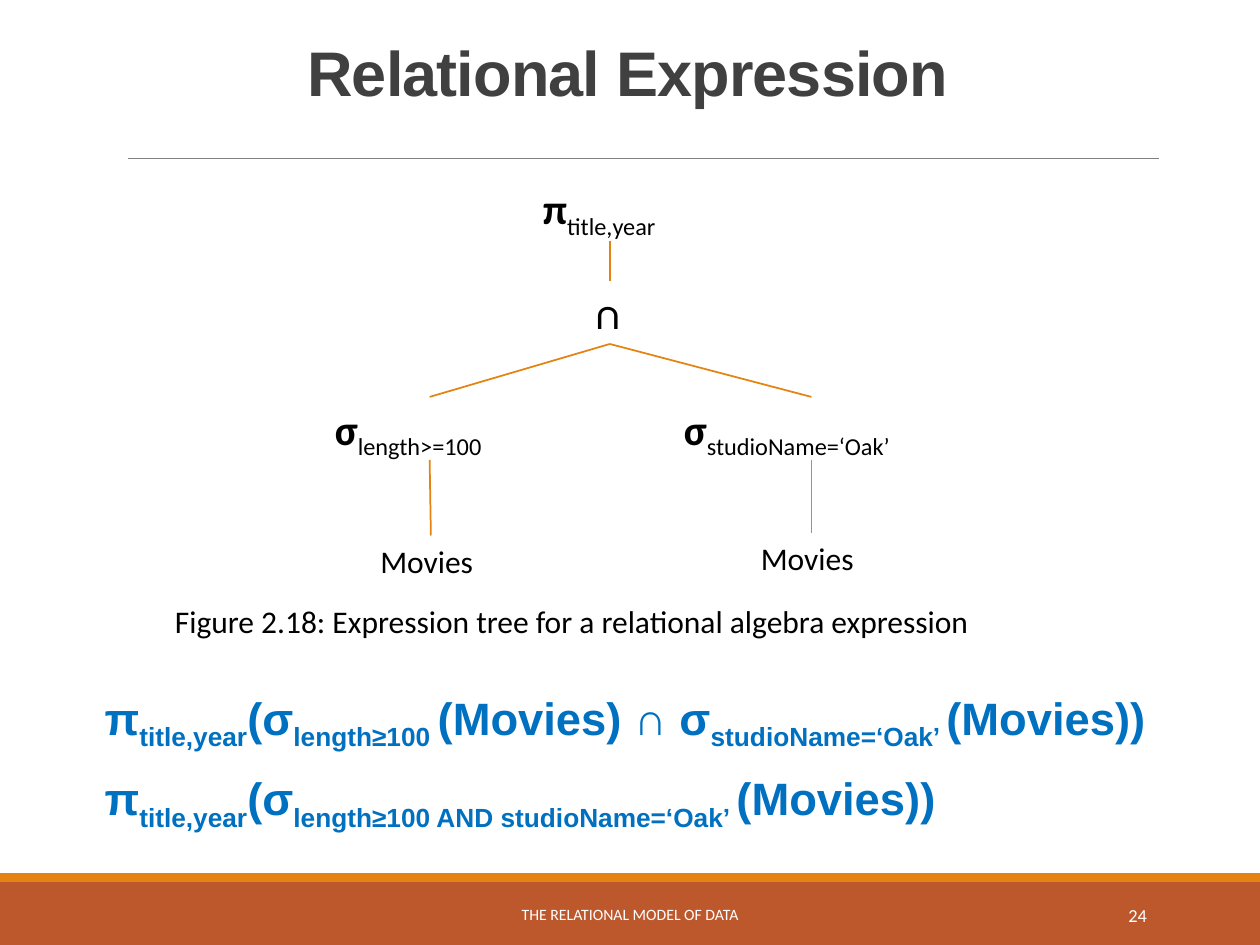
"""Build a slide showing an expression tree for a relational algebra query."""
from dataclasses import dataclass

from lxml.etree import SubElement
from pptx import Presentation
from pptx.dml.color import RGBColor
from pptx.enum.shapes import MSO_CONNECTOR, MSO_SHAPE
from pptx.enum.text import MSO_ANCHOR, MSO_AUTO_SIZE, PP_ALIGN
from pptx.oxml.ns import qn
from pptx.slide import Slide
from pptx.text.text import TextFrame
from pptx.util import Inches, Pt

COLORS = {
    "brick": "BD582C",
    "orange": "E48312",
    "gray": "808080",
    "heading": "404040",
    "formula": "0070C0",
    "black": "000000",
    "white": "FFFFFF",
}


@dataclass
class Band:
    top: float
    height: float
    color: str


@dataclass
class Label:
    """Text whose runs alternate between the baseline and subscript."""
    runs: tuple[str, ...]
    left: float
    top: float
    width: float
    height: float = 0.5
    size: float = 24
    bold: bool = True
    color: str = "black"
    align: PP_ALIGN = PP_ALIGN.LEFT
    anchor: MSO_ANCHOR = MSO_ANCHOR.TOP
    wrap: bool = False


@dataclass
class Line:
    start: tuple[float, float]
    end: tuple[float, float]
    color: str = "orange"
    width: float = 1


BANDS = [Band(7, 0.5, "brick"), Band(6.93, 0.07, "orange")]

ROOT, LEFT, RIGHT = 4.84, 3.41, 6.44
LINES = [
    Line((1.02, 1.26), (9.2, 1.26), "gray", 0.5),
    Line((ROOT, 1.91), (ROOT, 2.23)),
    Line((ROOT, 2.73), (LEFT, 3.15)),
    Line((ROOT, 2.73), (RIGHT, 3.15)),
    Line((LEFT, 3.65), (3.42, 4.25)),
    Line((RIGHT, 3.65), (RIGHT, 4.23)),
]

PLAIN = {"height": 0.4, "size": 18, "bold": False}
FOOTER = {"top": 7.06, "height": 0.4, "bold": False, "color": "white",
          "anchor": MSO_ANCHOR.MIDDLE, "wrap": True}
LABELS = [
    Label(("π", "title,year"), 4.21, 1.4, 1.27),
    Label(("∩",), 4.61, 2.23, 0.46),
    Label(("σ", "length>=100"), 2.56, 3.15, 1.7),
    Label(("σ", "studioName=‘Oak’"), 5.33, 3.15, 2.23),
    Label(("Movies",), 2.92, 4.25, 1, **PLAIN),
    Label(("Movies",), 5.94, 4.23, 1, **PLAIN),
    Label(("Figure 2.18: Expression tree for a relational algebra expression",),
          1.29, 4.73, 7.18, **PLAIN),
    Label(("THE RELATIONAL MODEL OF DATA",), 3.02, width=3.96, size=9,
          align=PP_ALIGN.CENTER, **FOOTER),
    Label(("24",), 8.12, width=1.08, size=10.5, align=PP_ALIGN.RIGHT, **FOOTER),
]

FORMULAS = [
    ("π", "title,year", "(σ", "length≥100 ", "(Movies) ∩ σ",
     "studioName=‘Oak’ ", "(Movies))"),
    ("π", "title,year", "(σ", "length≥100 AND studioName=‘Oak’ ", "(Movies))"),
]


def rgb(name: str) -> RGBColor:
    return RGBColor.from_string(COLORS[name])


def write(frame: TextFrame, paragraphs: list[tuple[str, ...]], *, size: float,
          color: str, font: str = "Calibri", bold: bool = True,
          bold_subscript: bool = False, align: PP_ALIGN = PP_ALIGN.LEFT,
          anchor: MSO_ANCHOR = MSO_ANCHOR.TOP, wrap: bool = True,
          line_spacing: float = 1.0, tracking: float = 0) -> None:
    frame.auto_size = MSO_AUTO_SIZE.NONE
    frame.word_wrap = wrap
    frame.vertical_anchor = anchor
    for index, runs in enumerate(paragraphs):
        paragraph = frame.add_paragraph() if index else frame.paragraphs[0]
        paragraph.alignment = align
        paragraph.line_spacing = line_spacing
        paragraph.space_before = Pt(0)
        for position, words in enumerate(runs):
            subscript = position % 2 == 1
            run = paragraph.add_run()
            run.text = words
            run.font.name = font
            run.font.size = Pt(size)
            run.font.bold = bold_subscript if subscript else bold
            run.font.color.rgb = rgb(color)
            properties = run._r.get_or_add_rPr()
            if subscript:
                properties.set("baseline", "-25000")
            if tracking:
                properties.set("spc", str(int(tracking * 100)))


def place(shape, left: float, top: float, width: float, height: float) -> None:
    shape.left, shape.top = Inches(left), Inches(top)
    shape.width, shape.height = Inches(width), Inches(height)


def draw_band(slide: Slide, band: Band) -> None:
    stripe = slide.shapes.add_shape(MSO_SHAPE.RECTANGLE, 0, Inches(band.top),
                                    Inches(10), Inches(band.height))
    stripe.shadow.inherit = False
    stripe.fill.solid()
    stripe.fill.fore_color.rgb = rgb(band.color)
    stripe.line.fill.background()


def draw_line(slide: Slide, line: Line) -> None:
    ends = [Inches(length) for length in (*line.start, *line.end)]
    edge = slide.shapes.add_connector(MSO_CONNECTOR.STRAIGHT, *ends)
    edge.line.color.rgb = rgb(line.color)
    edge.line.width = Pt(line.width)
    SubElement(edge._element.spPr, qn("a:effectLst"))


def draw_label(slide: Slide, label: Label) -> None:
    box = slide.shapes.add_textbox(Inches(label.left), Inches(label.top),
                                   Inches(label.width), Inches(label.height))
    write(box.text_frame, [label.runs], size=label.size, color=label.color,
          bold=label.bold, align=label.align, anchor=label.anchor, wrap=label.wrap)


def fill_title(slide: Slide) -> None:
    title = slide.shapes.title
    place(title, 0.64, 0.31, 8.68, 0.92)
    write(title.text_frame, [("Relational Expression",)], size=36, color="heading",
          font="Arial", align=PP_ALIGN.CENTER, line_spacing=0.85, tracking=-0.5)


def fill_formulas(slide: Slide) -> None:
    body = slide.placeholders[1]
    place(body, 0.64, 5.23, 9.25, 1.33)
    frame = body.text_frame
    frame.margin_left, frame.margin_top = Inches(0.06), Inches(0.1)
    frame.margin_right, frame.margin_bottom = Inches(0.1), Inches(0.05)
    write(frame, FORMULAS, size=25.9, color="formula", font="Arial",
          bold_subscript=True, line_spacing=1.3)
    for paragraph in frame.paragraphs:
        properties = paragraph._p.get_or_add_pPr()
        properties.set("marL", str(Inches(0.48)))
        properties.set("indent", str(Inches(-0.35)))
        SubElement(properties, qn("a:buNone"))


def main() -> None:
    presentation = Presentation()
    presentation.slide_width, presentation.slide_height = Inches(10), Inches(7.5)
    slide = presentation.slides.add_slide(presentation.slide_layouts[1])
    for band in BANDS:
        draw_band(slide, band)
    fill_title(slide)
    for line in LINES:
        draw_line(slide, line)
    for label in LABELS:
        draw_label(slide, label)
    fill_formulas(slide)
    presentation.save("out.pptx")


if __name__ == "__main__":
    main()
